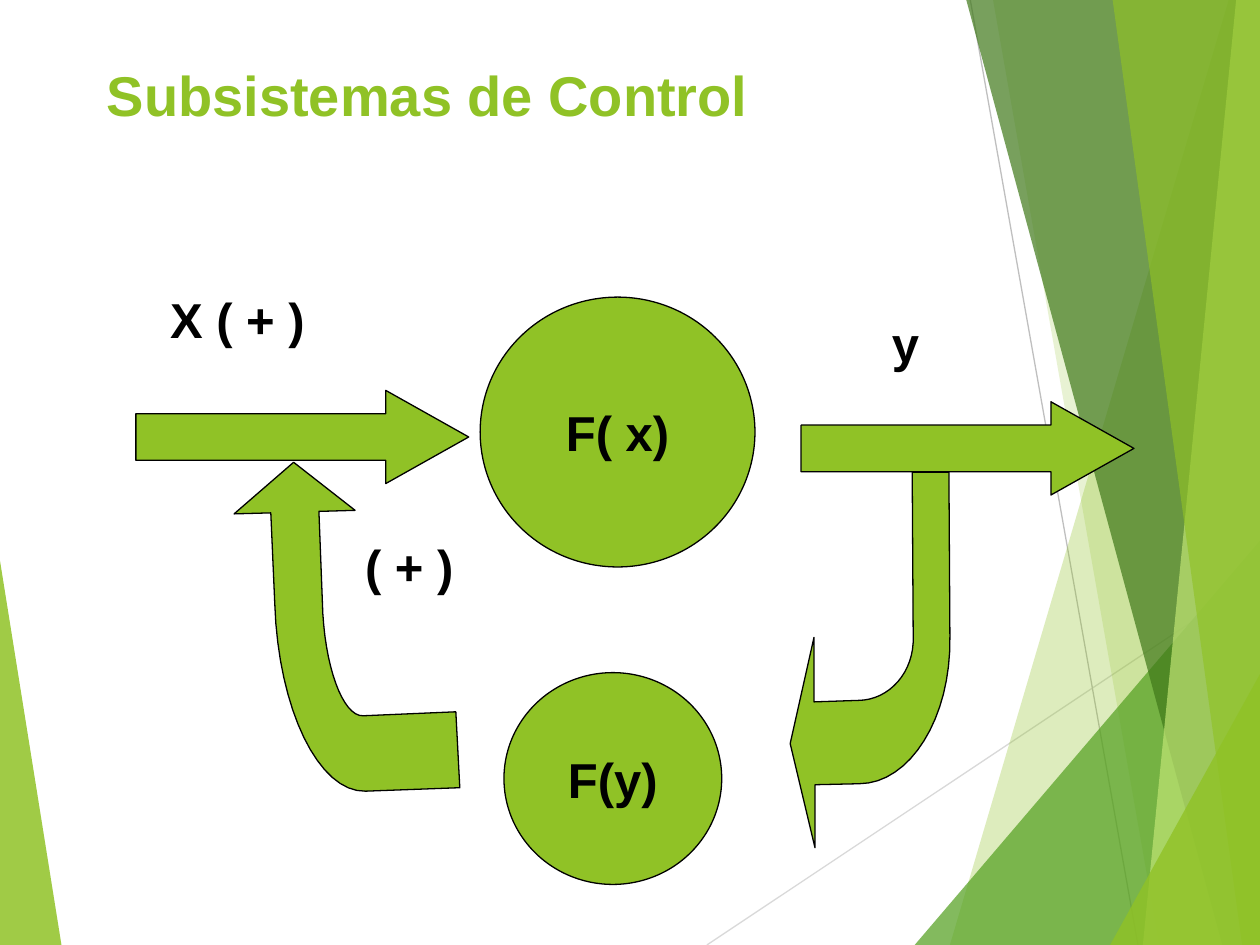
import pptx
import pptx.util
import pptx.dml.color
import pptx.enum.shapes
import pptx.enum.text
import pptx.oxml
import pptx.oxml.ns

Cm, Pt = pptx.util.Cm, pptx.util.Pt
Kind = pptx.enum.shapes.MSO_SHAPE
Align = pptx.enum.text.PP_ALIGN
Anchor = pptx.enum.text.MSO_ANCHOR
Fit = pptx.enum.text.MSO_AUTO_SIZE

WIDE, HIGH = 25.4, 19.05
FONT = "Arial"
HUES = {"lime": "90C226", "green": "54A021", "dark": "3F7819", "pale": "C0E474",
        "black": "000000", "silver": "BFBFBF", "mist": "D9D9D9"}

TITLE = ("Subsistemas de Control", (1.9, 1.09, 21.59, 1.75))
RAYS = [((14.25, HIGH), (WIDE, 11.62), "mist"), ((19.56, 0), (22.94, HIGH), "silver")]


def strip(top, foot):
    return [(top, 0), (foot, HIGH), (WIDE, HIGH), (WIDE, 0)]


def wedge(left, top):
    return [(left, HIGH), (WIDE, top), (WIDE, HIGH)]


LEAF = ([(0, 11.3), (1.24, HIGH), (0, HIGH)], "lime", 85)
FACETS = [
    (strip(24.77, 19.15), "lime", 30),
    (strip(20.02, 23.37), "lime", 20),
    (wedge(18.44, 10.9), "green", 72),
    (strip(19.48, 24.64), "dark", 70),
    (strip(24.92, 23.04), "pale", 70),
    (strip(22.43, 25.04), "lime", 65),
    (wedge(22.38, 13.59), "lime", 80),
]
NODES = [("F( x)", (9.68, 5.99, 5.54, 5.44)), ("F(y)", (10.16, 13.56, 4.39, 4.27))]
ARROWS = [(2.74, 7.87, 6.71, 1.88), (16.15, 8.1, 6.71, 1.88)]
LABELS = [
    ("( + )", (7.11, 10.69, 2.29, 1.45)),
    ("X ( + )", (3.18, 5.72, 3.23, 1.45)),
    ("y", (17.73, 6.2, 1.04, 1.45)),
]
BENDS = [
    [(15.93, 14.99), (16.43, 17.09), (16.43, 15.82), (17.32, 15.8),
     ((18.34, 15.8), (19.18, 14.48), (19.15, 12.83)),
     (19.13, 9.52), (18.39, 9.52), (18.41, 12.83),
     ((18.44, 13.54), (17.93, 14.12), (17.3, 14.12)),
     (16.41, 14.15), (16.41, 12.85)],
    [(5.92, 9.32), (4.72, 10.36), (5.46, 10.34), (5.54, 12.17),
     ((5.61, 14.3), (6.43, 15.98), (7.37, 15.95)),
     (9.27, 15.88), (9.19, 14.35), (7.32, 14.43),
     ((6.91, 14.45), (6.53, 13.41), (6.5, 12.14)),
     (6.43, 10.31), (7.16, 10.29)],
]


def hue(name):
    return pptx.dml.color.RGBColor.from_string(HUES[name])


def box(spot):
    return [Cm(v) for v in spot]


def write(shape, text, size=28, color="black", align=Align.LEFT,
          anchor=Anchor.TOP, wrap=False, fit=Fit.NONE):
    frame = shape.text_frame
    frame.text = text
    frame.word_wrap = wrap
    frame.auto_size = fit
    frame.vertical_anchor = anchor
    para = frame.paragraphs[0]
    para.alignment = align
    font = para.runs[0].font
    font.name, font.size, font.bold = FONT, Pt(size), True
    font.color.rgb = hue(color)


def paint(shape, color="lime", alpha=100, edge=True):
    shape.shadow.inherit = False
    shape.fill.solid()
    shape.fill.fore_color.rgb = hue(color)
    if alpha < 100:
        tint = shape.element.spPr.find(".//" + pptx.oxml.ns.qn("a:srgbClr"))
        tint.append(pptx.oxml.parse_xml(
            f'<a:alpha {pptx.oxml.ns.nsdecls("a")} val="{alpha * 1000}"/>'))
    if edge:
        shape.line.color.rgb = hue("black")
        shape.line.width = Pt(0.75)
    else:
        shape.line.fill.background()


def trace(points, steps=16):
    flat = []
    for item in points:
        if isinstance(item[0], tuple):
            curve = (flat[-1], *item)
            for n in range(1, steps + 1):
                t = n / steps
                mix = ((1 - t) ** 3, 3 * t * (1 - t) ** 2, 3 * t * t * (1 - t), t ** 3)
                flat.append(tuple(sum(m * p[k] for m, p in zip(mix, curve)) for k in (0, 1)))
        else:
            flat.append(item)
    return flat


def outline(shapes, points, **style):
    dots = [tuple(box(p)) for p in trace(points)]
    pen = shapes.build_freeform(*dots[0])
    pen.add_line_segments(dots[1:], close=True)
    paint(pen.convert_to_shape(), **style)


def facet(shapes, points, color, alpha):
    outline(shapes, points, color=color, alpha=alpha, edge=False)


def main():
    deck = pptx.Presentation()
    deck.slide_width, deck.slide_height = Cm(WIDE), Cm(HIGH)
    slide = deck.slides.add_slide(deck.slide_layouts[5])
    shapes = slide.shapes

    facet(shapes, *LEAF)
    for start, end, color in RAYS:
        ray = shapes.add_connector(pptx.enum.shapes.MSO_CONNECTOR.STRAIGHT,
                                   *box(start), *box(end))
        ray.line.color.rgb = hue(color)
        ray.line.width = Pt(0.75)
        ray.element.spPr.append(pptx.oxml.parse_xml(
            f'<a:effectLst {pptx.oxml.ns.nsdecls("a")}/>'))
    for item in FACETS:
        facet(shapes, *item)

    text, spot = TITLE
    title = shapes.title
    title.left, title.top, title.width, title.height = box(spot)
    write(title, text, size=32, color="lime", wrap=True)
    title.element.getparent().append(title.element)

    for text, spot in NODES:
        node = shapes.add_shape(Kind.OVAL, *box(spot))
        paint(node)
        write(node, text, align=Align.CENTER, anchor=Anchor.MIDDLE)
    for spot in ARROWS:
        arrow = shapes.add_shape(Kind.RIGHT_ARROW, *box(spot))
        arrow.adjustments[0], arrow.adjustments[1] = 0.5, 0.89
        paint(arrow)
    for points in BENDS:
        outline(shapes, points)
    for text, spot in LABELS:
        write(shapes.add_textbox(*box(spot)), text, fit=Fit.SHAPE_TO_FIT_TEXT)

    deck.save("out.pptx")


if __name__ == "__main__":
    main()
